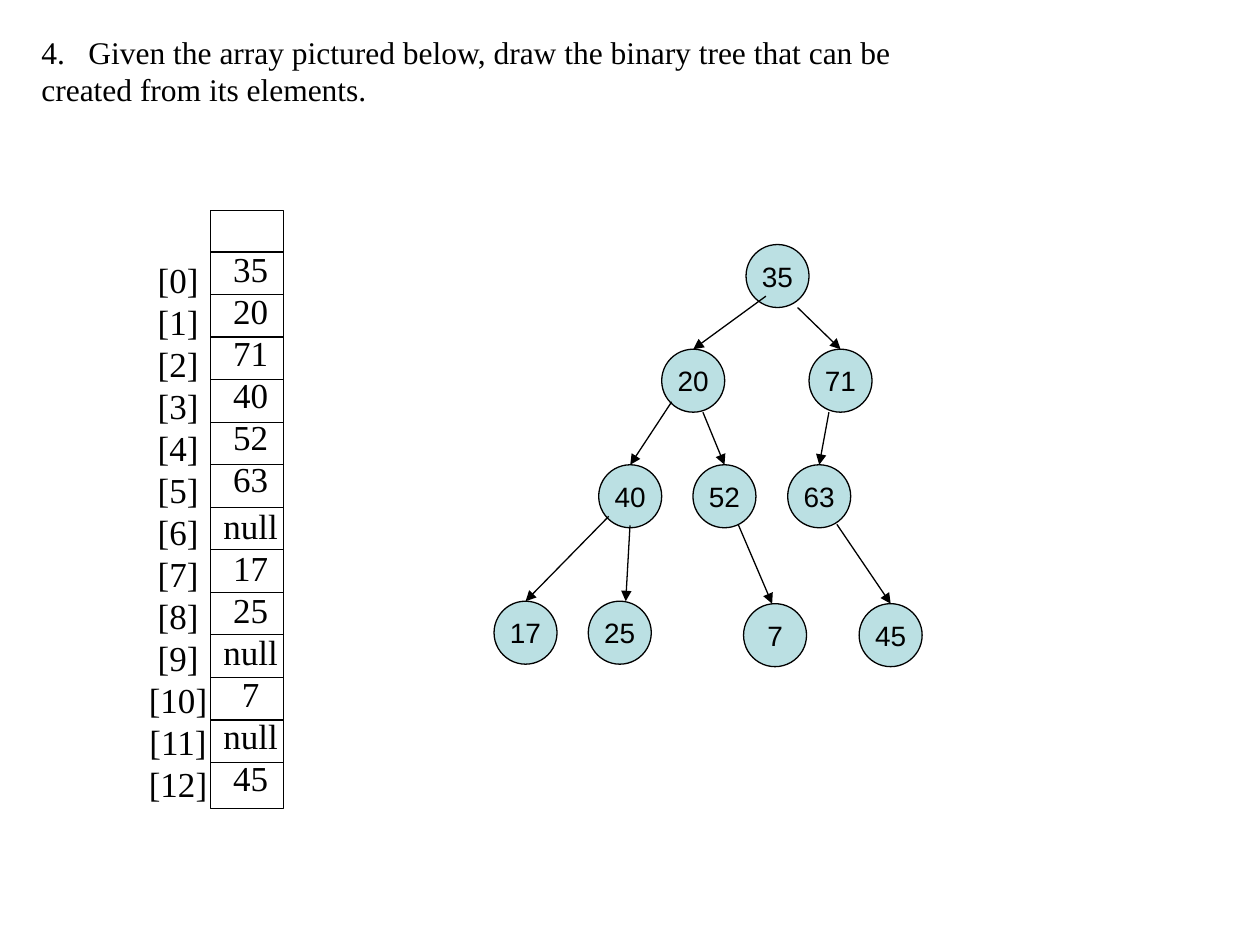
import pptx
import pptx.util
import pptx.dml.color
import pptx.enum.shapes
import pptx.enum.text
import pptx.oxml
import pptx.oxml.ns
from dataclasses import dataclass
from typing import Any, Optional, Sequence

Cm = pptx.util.Cm
Pt = pptx.util.Pt
Align = pptx.enum.text.PP_ALIGN
Anchor = pptx.enum.text.MSO_ANCHOR
Fit = pptx.enum.text.MSO_AUTO_SIZE
Shape = pptx.enum.shapes.MSO_SHAPE
Wire = pptx.enum.shapes.MSO_CONNECTOR

HUES = {"ink": "000000", "node": "BBE0E3"}
SERIF = {"name": "Times New Roman", "size": Pt(20), "bold": False}
HEAD = {**SERIF, "size": Pt(18)}
SANS = {"name": "Arial", "size": Pt(16), "bold": False}
BOX = {"word_wrap": False, "auto_size": Fit.NONE, "vertical_anchor": Anchor.TOP}
DISC = {**BOX, "vertical_anchor": Anchor.MIDDLE}
SIZE = 1.27


@dataclass
class Node:
    text: str
    left: float
    top: float
    start: Optional[tuple[float, float]] = None
    lean: float = 0


NODES = [
    Node("35", 15.04, 4.93),
    Node("20", 13.34, 7.04, (15.44, 5.97)),
    Node("71", 16.31, 7.04, (16.08, 6.2)),
    Node("40", 12.07, 9.37, (13.54, 8.1)),
    Node("52", 13.97, 9.37, (14.17, 8.31)),
    Node("63", 15.88, 9.37, (16.71, 8.31)),
    Node("17", 9.96, 12.12, (12.27, 10.41)),
    Node("25", 11.86, 12.12, (12.7, 10.59), 0.12),
    Node("7", 14.99, 12.17, (14.88, 10.57), -0.06),
    Node("45", 17.32, 12.17, (16.87, 10.57)),
]
ITEMS = ["35", "20", "71", "40", "52", "63", "null",
         "17", "25", "null", "7", "null", "45"]


def hue(key: str) -> Any:
    return pptx.dml.color.RGBColor.from_string(HUES[key])


def apply(item: Any, vals: dict[str, Any]) -> None:
    for key, val in vals.items():
        setattr(item, key, val)


def write(shape: Any, lines: Sequence[str], font: dict[str, Any],
          box: dict[str, Any], align: Any = Align.CENTER) -> None:
    frame = shape.text_frame
    frame.text = "\n".join(lines)
    apply(frame, box)
    for para in frame.paragraphs:
        para.alignment = align
        for run in para.runs:
            apply(run.font, font)
            run.font.color.rgb = hue("ink")


def outline(shape: Any) -> None:
    shape.line.color.rgb = hue("ink")
    shape.line.width = Pt(0.75)


def link(x: float, y: float, to_x: float, to_y: float, arrow: bool = False) -> None:
    wire = slide.shapes.add_connector(
        Wire.STRAIGHT, Cm(x), Cm(y), Cm(to_x), Cm(to_y))
    outline(wire)
    props = wire._element.spPr
    if arrow:
        tail = pptx.oxml.ns.qn("a:tailEnd")
        props.find(pptx.oxml.ns.qn("a:ln")).makeelement(tail)
        end = pptx.oxml.parse_xml(
            '<a:tailEnd %s type="triangle"/>' % pptx.oxml.ns.nsdecls("a"))
        props.find(pptx.oxml.ns.qn("a:ln")).append(end)
    props.append(pptx.oxml.parse_xml(
        "<a:effectLst %s/>" % pptx.oxml.ns.nsdecls("a")))


def column(left: float, top: float, width: float, lines: Sequence[str]) -> Any:
    box = slide.shapes.add_textbox(Cm(left), Cm(top), Cm(width), Cm(11.38))
    write(box, lines, SERIF, BOX)
    return box


def disc(node: Node) -> None:
    oval = slide.shapes.add_shape(
        Shape.OVAL, Cm(node.left), Cm(node.top), Cm(SIZE), Cm(SIZE))
    oval.shadow.inherit = False
    oval.fill.solid()
    oval.fill.fore_color.rgb = hue("node")
    outline(oval)
    write(oval, [node.text], SANS, DISC)


deck = pptx.Presentation()
apply(deck, {"slide_width": Cm(25.4), "slide_height": Cm(19.05)})
slide = deck.slides.add_slide(deck.slide_layouts[5])

title = slide.shapes.title
apply(title, {"left": Cm(0.58), "top": Cm(0.53),
              "width": Cm(18.5), "height": Cm(1.8)})
write(title, ["Given the array pictured below, draw the binary tree that can be",
              "created from its elements."],
      HEAD, {**BOX, "word_wrap": True}, Align.LEFT)
first = title.text_frame.paragraphs[0]._p.get_or_add_pPr()
first.set("marL", str(Cm(0.95)))
first.set("indent", str(-Cm(0.95)))
first.append(pptx.oxml.parse_xml(
    '<a:buAutoNum %s type="arabicPeriod" startAt="4"/>' % pptx.oxml.ns.nsdecls("a")))

frame = slide.shapes.add_shape(
    Shape.RECTANGLE, Cm(4.24), Cm(4.24), Cm(1.48), Cm(12.06))
frame.shadow.inherit = False
frame.fill.background()
outline(frame)
for row in range(len(ITEMS)):
    y = 5.08 + row * 10.29 / 12
    link(4.24, y, 5.72, y)
column(2.74, 5.08, 1.7, [f"[{row}]" for row in range(len(ITEMS))])
vals = column(4.24, 4.86, 1.63, ITEMS)
vals.text_frame.paragraphs[ITEMS.index("null")].space_before = Pt(3)

for node in NODES:
    disc(node)
for node in NODES:
    if node.start:
        link(*node.start, node.left + SIZE / 2 + node.lean, node.top, True)

deck.save("out.pptx")
